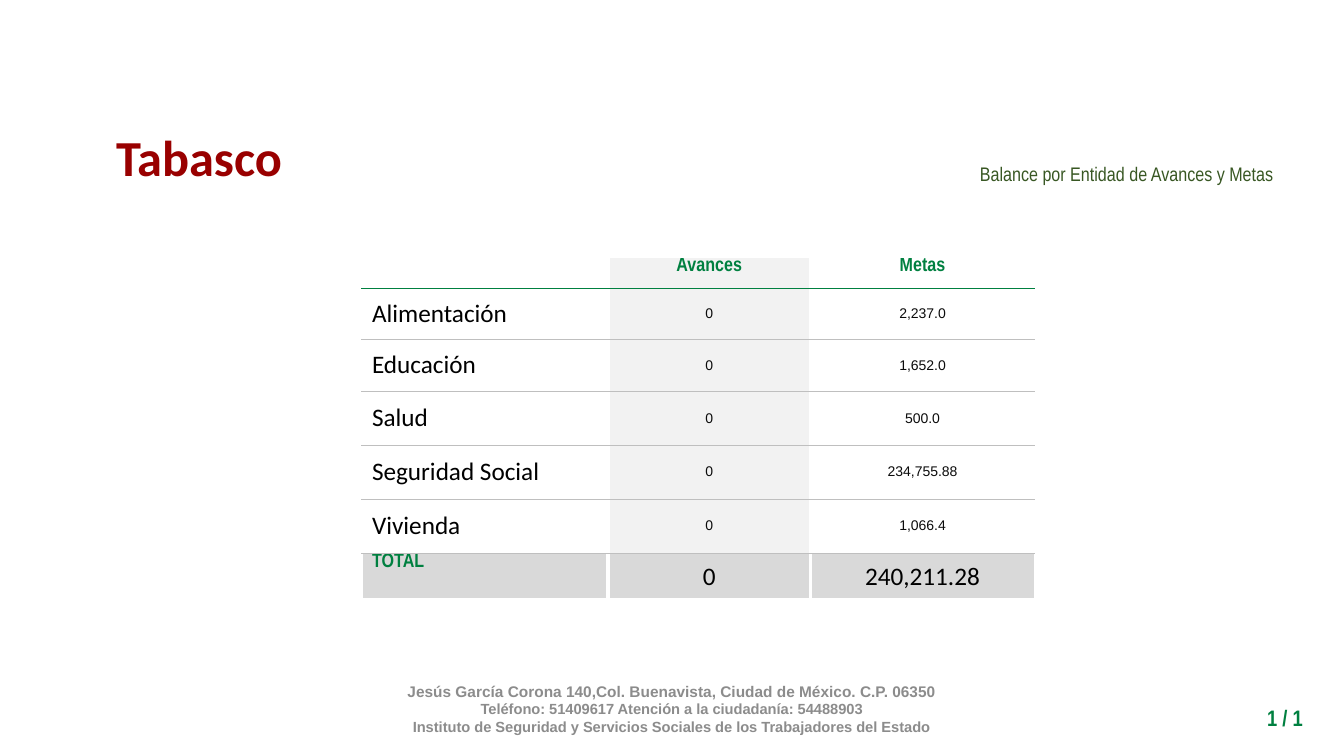
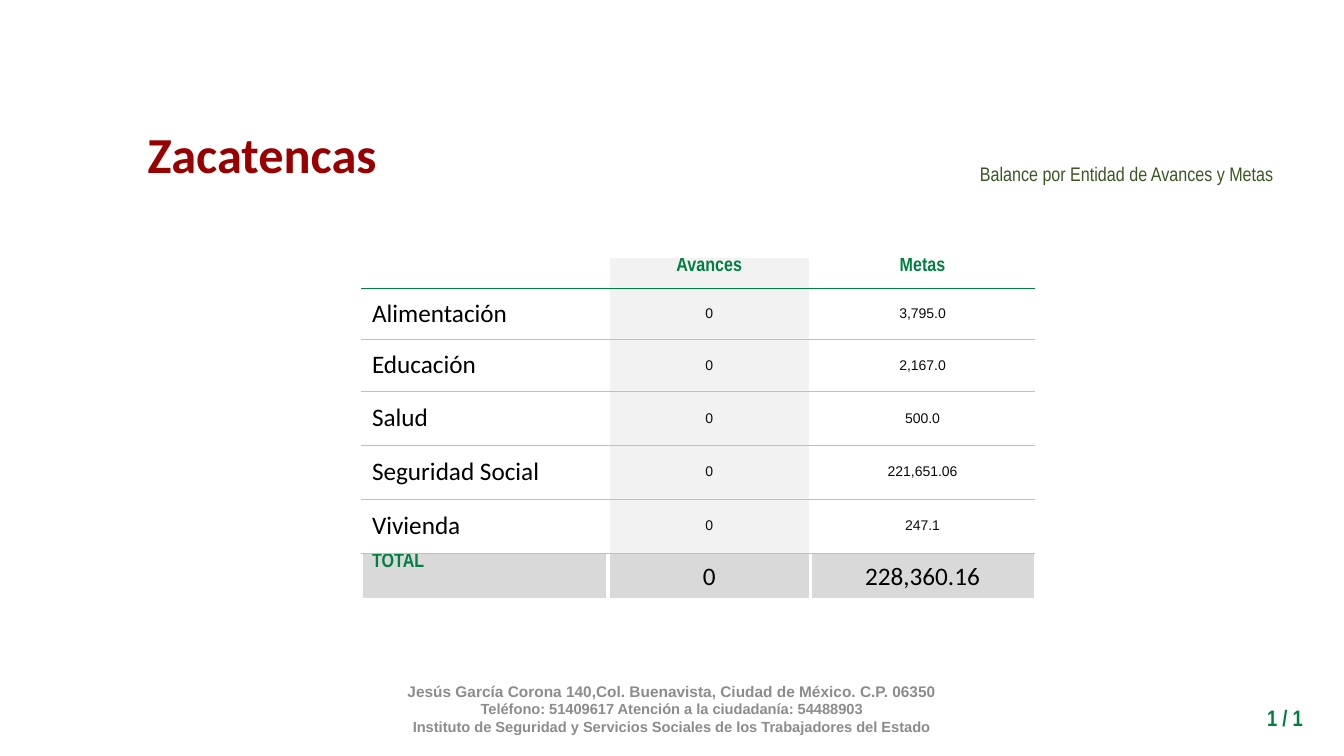
from lxml import etree
from pptx import Presentation
from pptx.dml.color import RGBColor
from pptx.enum.text import MSO_ANCHOR, PP_ALIGN
from pptx.oxml.ns import qn
from pptx.util import Inches, Pt

LEFT, CENTER, RIGHT = PP_ALIGN.LEFT, PP_ALIGN.CENTER, PP_ALIGN.RIGHT
TOP, MIDDLE = MSO_ANCHOR.TOP, MSO_ANCHOR.MIDDLE

WHITE = RGBColor(0xFF, 0xFF, 0xFF)
BLACK = RGBColor(0x00, 0x00, 0x00)
INK = RGBColor(0x0B, 0x0B, 0x0B)
GREEN = RGBColor(0x00, 0x80, 0x40)
OLIVE = RGBColor(0x38, 0x57, 0x23)
MAROON = RGBColor(0x99, 0x00, 0x00)
FOOTER_GRAY = RGBColor(0x8C, 0x8C, 0x8C)
RULE_GRAY = RGBColor(0xBF, 0xBF, 0xBF)
COLUMN_GRAY = RGBColor(0xF2, 0xF2, 0xF2)
TOTAL_GRAY = RGBColor(0xD9, 0xD9, 0xD9)

# Text styles: font, points, colour, bold
TITLE = ("Calibri", 36, MAROON, True)
SUBTITLE = ("Arial Narrow", 14, OLIVE, False)
PAGE = ("Arial Narrow", 16, GREEN, True)
HEADING = ("Arial Narrow", 14, GREEN, True)
LABEL = ("Calibri", 18, BLACK, False)
FIGURE = ("Arial", 10, INK, False)
ADDRESS = ("Arial", 11, FOOTER_GRAY, True)
CONTACT = ("Arial", 10.5, FOOTER_GRAY, True)

# Borders: colour, points
GAP = (WHITE, 3)
HEAD_RULE = (GREEN, 0.25)
ROW_RULE = (RULE_GRAY, 0.5)

FOOTER = [
    ("Jesús García Corona 140,Col. Buenavista, Ciudad de México. C.P. 06350", ADDRESS),
    ("Teléfono: 51409617 Atención a la ciudadanía: 54488903", CONTACT),
    ("Instituto de Seguridad y Servicios Sociales de los Trabajadores del Estado", CONTACT),
]
COLUMN_WIDTHS = [2.44, 2.01, 2.22]
ROW_HEIGHTS = [0.31, 0.51, 0.51, 0.54, 0.53, 0.54, 0.46]
TOPICS = ["Alimentación", "Educación", "Salud", "Seguridad Social", "Vivienda"]
STATES = [
    ("Tabasco", (1.04, 1.2, 1.87, 0.71),
     ["2,237.0", "1,652.0", "500.0", "234,755.88", "1,066.4"], "240,211.28"),
    ("Zacatencas", (1.35, 1.17, 2.5, 0.71),
     ["3,795.0", "2,167.0", "500.0", "221,651.06", "247.1"], "228,360.16"),
]


def write(paragraph, text, style, align):
    paragraph.alignment = align
    run = paragraph.add_run()
    run.text = text
    name, size, color, bold = style
    for key, value in {"name": name, "size": Pt(size), "bold": bold}.items():
        setattr(run.font, key, value)
    run.font.color.rgb = color
    return run


def add_text(slide, box, lines, align, anchor=TOP, wrap=True):
    """Place (text, style) lines in a text box and return its paragraphs."""
    frame = slide.shapes.add_textbox(*map(Inches, box)).text_frame
    frame.word_wrap = wrap
    frame.vertical_anchor = anchor
    for index, (text, style) in enumerate(lines):
        paragraph = frame.add_paragraph() if index else frame.paragraphs[0]
        write(paragraph, text, style, align)
    return frame.paragraphs


def line_xml(parent, tag, color, points):
    line = etree.SubElement(parent, qn(tag), w=str(Pt(points)))
    fill = etree.SubElement(line, qn("a:solidFill"))
    etree.SubElement(fill, qn("a:srgbClr"), val=str(color))
    return line


def add_title(slide, box, name):
    title = add_text(slide, box, [(name, TITLE)], CENTER, wrap=False)[0]
    properties = title.runs[0].font._element
    properties.insert(0, line_xml(properties, "a:ln", WHITE, 0.75))


def add_frame(slide):
    """Add the subtitle, footer and page number that every slide carries."""
    subtitle = add_text(slide, (6.69, 1.23, 6.04, 0.95),
                        [("Balance por Entidad de Avances y Metas", SUBTITLE)], RIGHT, MIDDLE)[0]
    subtitle.line_spacing = 1.15
    add_text(slide, (2.88, 6.73, 7.57, 0.6), FOOTER, CENTER, MIDDLE)
    add_text(slide, (11.76, 6.94, 1.26, 0.37), [("1 / 1", PAGE)], RIGHT)


def set_borders(cell, row, column):
    last_row, last_column = len(ROW_HEIGHTS) - 1, len(COLUMN_WIDTHS) - 1
    rules = [None, HEAD_RULE] + [ROW_RULE] * (last_row - 1) + [GAP]
    borders = {
        "a:lnL": GAP if column else None,
        "a:lnR": GAP if column < last_column else None,
        "a:lnT": rules[row],
        "a:lnB": rules[row + 1],
    }
    properties = cell._tc.get_or_add_tcPr()
    for tag, border in borders.items():
        if border:
            line_xml(properties, tag, *border)


def set_fill(cell, row, column):
    if row == len(ROW_HEIGHTS) - 1:
        color = TOTAL_GRAY
    elif column == 1:
        color = COLUMN_GRAY
    else:
        cell.fill.background()
        return
    cell.fill.solid()
    cell.fill.fore_color.rgb = color


def add_balance(slide, left, top, goals, total):
    rows = [[("", HEADING), ("Avances", HEADING), ("Metas", HEADING)]]
    rows += [[(topic, LABEL), ("0", FIGURE), (goal, FIGURE)] for topic, goal in zip(TOPICS, goals)]
    rows.append([("TOTAL", HEADING), ("0", LABEL), (total, LABEL)])
    box = (left, top, sum(COLUMN_WIDTHS), sum(ROW_HEIGHTS))
    table = slide.shapes.add_table(len(rows), len(COLUMN_WIDTHS), *map(Inches, box)).table
    table.first_row = table.horz_banding = False
    for column, width in zip(table.columns, COLUMN_WIDTHS):
        column.width = Inches(width)
    for r, row in enumerate(rows):
        table.rows[r].height = Inches(ROW_HEIGHTS[r])
        for c, (text, style) in enumerate(row):
            cell = table.cell(r, c)
            cell.margin_top = cell.margin_bottom = 0
            cell.vertical_anchor = TOP if style is HEADING else MIDDLE
            write(cell.text_frame.paragraphs[0], text, style, CENTER if c else LEFT)
            set_borders(cell, r, c)
            set_fill(cell, r, c)


def main():
    deck = Presentation()
    deck.slide_width, deck.slide_height = Inches(13.33), Inches(7.5)
    for name, title_box, goals, total in STATES:
        slide = deck.slides.add_slide(deck.slide_layouts[6])
        add_frame(slide)
        add_balance(slide, 3.59, 2.55, goals, total)
        add_title(slide, title_box, name)
    deck.save("out.pptx")


if __name__ == "__main__":
    main()
